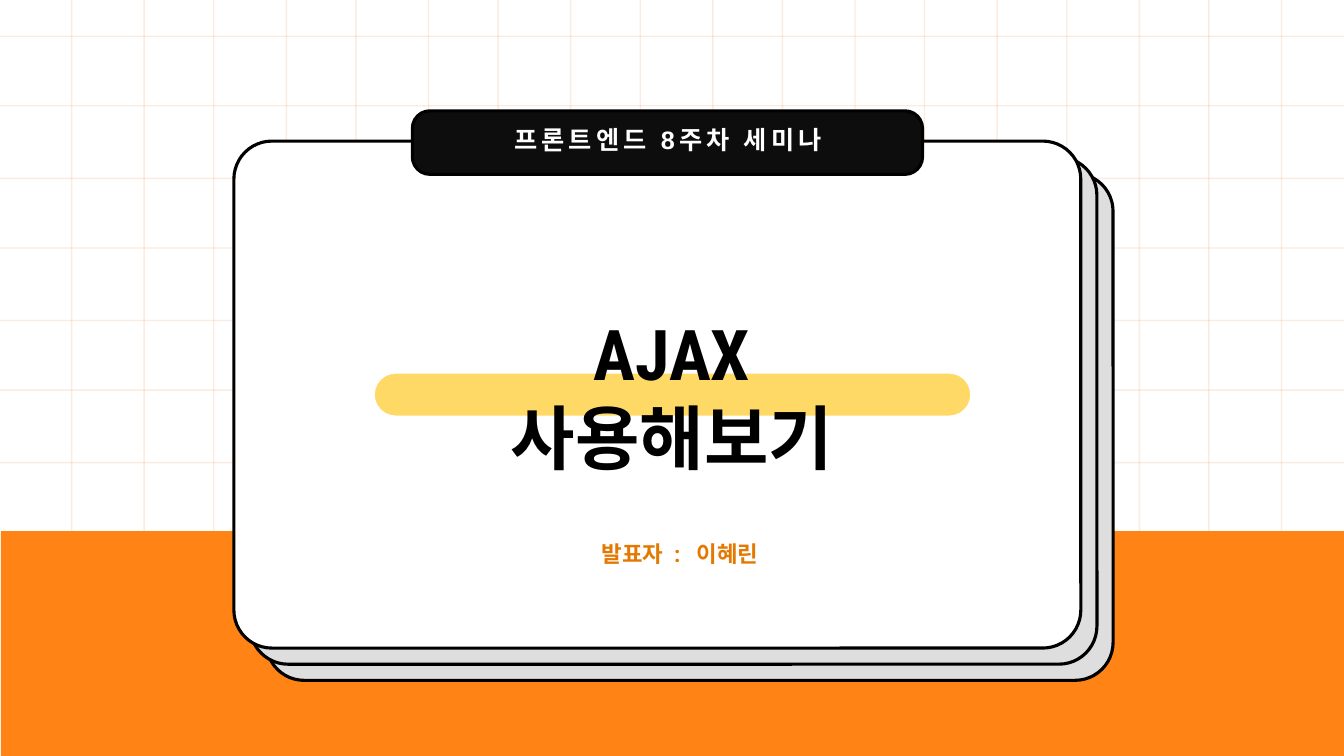
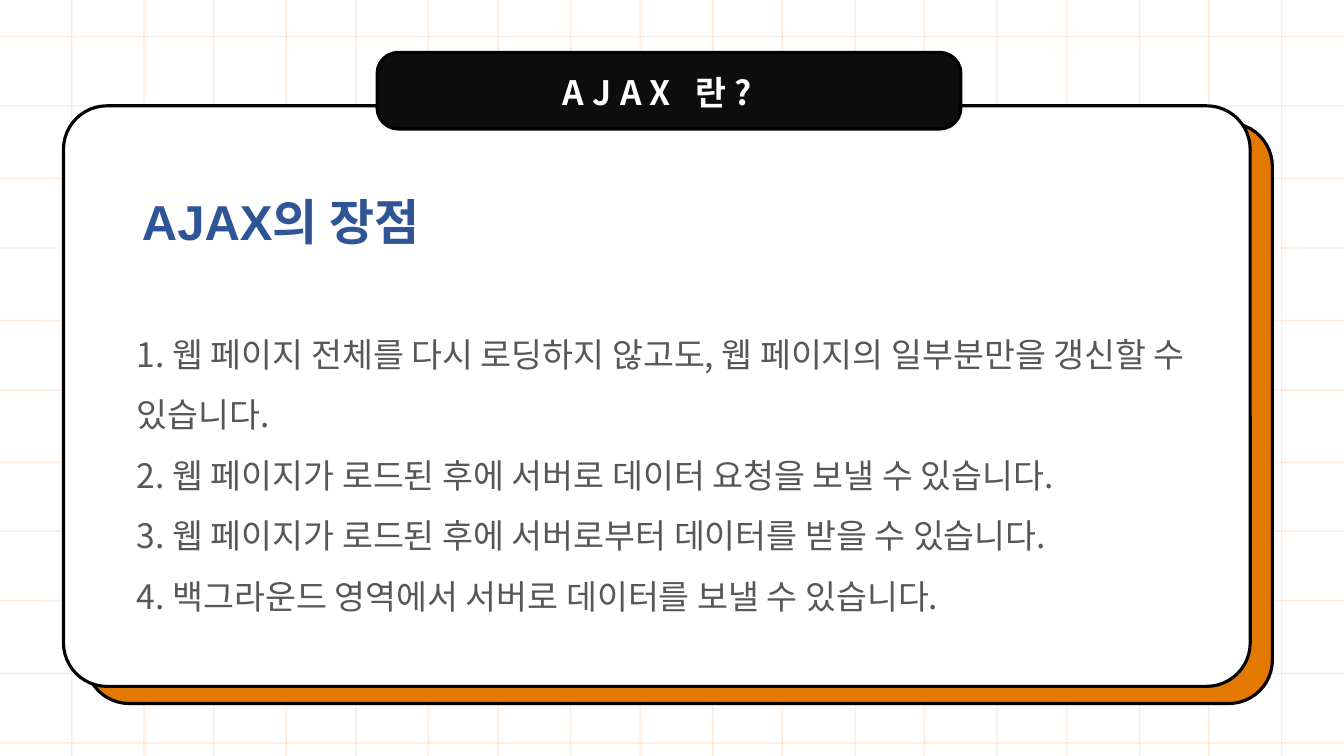
from dataclasses import dataclass
from itertools import accumulate, cycle, islice

from lxml import etree
from pptx import Presentation
from pptx import util as u
from pptx.dml.color import RGBColor
from pptx.enum import shapes, text
from pptx.oxml.ns import qn


@dataclass(frozen=True)
class Theme:
    # Colours
    grid: str = "ED7D31"
    band: str = "FF8415"
    accent: str = "E37900"
    ink: str = "000000"
    tab: str = "0D0D0D"
    paper: str = "FFFFFF"
    under_card: str = "DEDEDE"
    marker: str = "FFD966"
    heading: str = "2F5597"
    body: str = "575757"
    # Fonts
    sans: str = "Arial"
    condensed: str = "Roboto Condensed"
    korean: str = "Noto Sans CJK KR"
    # Type sizes and line widths in points
    cover_size: int = 50
    heading_size: int = 35
    body_size: int = 24
    label_size: int = 18
    small_size: int = 16
    outline: float = 2.25
    hairline: float = 1
    # Corner roundness
    card_corner: float = 0.075
    tab_corner: float = 0.275


THEME = Theme()
WIDTH, HEIGHT = 13.33, 7.5
BAND_TOP = 5.27
LINE_BREAK = ("\n", 0)


def add_block(parent, box, fill, line=None, width=THEME.outline, corner=None):
    """Draw a plain rectangle, or a rounded one when a corner is given."""
    preset = shapes.MSO_SHAPE.RECTANGLE if corner is None else shapes.MSO_SHAPE.ROUNDED_RECTANGLE
    block = parent.add_shape(preset, *map(u.Inches, box))
    block.shadow.inherit = False
    if corner is not None:
        block.adjustments[0] = corner
    block.fill.solid()
    block.fill.fore_color.rgb = RGBColor.from_string(fill)
    if line:
        block.line.color.rgb = RGBColor.from_string(line)
        block.line.width = u.Pt(width)
    else:
        block.line.fill.background()


def add_text(slide, box, paragraphs, *, size, color, font=THEME.korean, bold=False,
             align=text.PP_ALIGN.LEFT, tracking=0, line_spacing=None):
    """Write paragraphs; one given as a list holds (words, tracking) runs."""
    frame = slide.shapes.add_textbox(*map(u.Inches, box)).text_frame
    frame.word_wrap = True
    frame.auto_size = text.MSO_AUTO_SIZE.SHAPE_TO_FIT_TEXT
    for index, content in enumerate(paragraphs):
        paragraph = frame.add_paragraph() if index else frame.paragraphs[0]
        paragraph.alignment = align
        if line_spacing:
            paragraph.line_spacing = line_spacing
        runs = [(content, tracking)] if isinstance(content, str) else content
        for words, spacing in runs:
            if (words, spacing) == LINE_BREAK:
                paragraph.add_line_break()
                continue
            run = paragraph.add_run()
            run.text = words
            run.font.size = u.Pt(size)
            run.font.bold = bold
            run.font.name = font
            run.font.color.rgb = RGBColor.from_string(color)
            # East Asian font and letter spacing
            properties = run.font._element
            latin = properties.find(qn("a:latin"))
            latin.addnext(etree.Element(qn("a:ea"), typeface=THEME.korean))
            if spacing:
                properties.set("spc", str(spacing * 100))


def grid_steps(start, gaps, count):
    """Positions from start, with the gaps taken in turn."""
    return list(accumulate(islice(cycle(gaps), count - 1), initial=start))


def add_grid(slide, lower_rows):
    """Pale squared paper behind the cards."""
    columns = grid_steps(0.71, (0.72, 0.69), 18)
    rows = grid_steps(0.36, (0.69, 0.72), 7)
    if lower_rows:
        rows += grid_steps(BAND_TOP, (0.69, 0.72), 4)
    ends = [(0, y, WIDTH, y) for y in rows] + [(x, 0, x, HEIGHT) for x in columns]
    grid = slide.shapes.add_group_shape()
    for end in ends:
        rule = grid.shapes.add_connector(shapes.MSO_CONNECTOR.STRAIGHT, *map(u.Inches, end))
        rule.line.color.rgb = RGBColor.from_string(THEME.grid)
        rule.line.width = u.Pt(THEME.hairline)
        tint = rule.line._ln.find(".//" + qn("a:srgbClr"))
        etree.SubElement(tint, qn("a:alpha"), val="15000")
        etree.SubElement(rule._element.spPr, qn("a:effectLst"))


def add_card_stack(slide, box, step, under_fills):
    """White card at box, with under cards shifted right and down, furthest first."""
    left, top, width, height = box
    stack = slide.shapes.add_group_shape()
    fills = [*under_fills, THEME.paper]
    for index, fill in enumerate(fills):
        depth = len(fills) - 1 - index
        place = (left + depth * step[0], top + depth * step[1], width, height)
        add_block(stack.shapes, place, fill, THEME.ink, corner=THEME.card_corner)


def add_tab(slide, box, label, label_box, **style):
    """Black tab with a spaced label; label_box is measured from the tab's corner."""
    left, top, _, _ = box
    label_left, label_top, label_width, label_height = label_box
    add_block(slide.shapes, box, THEME.tab, THEME.ink, corner=THEME.tab_corner)
    add_text(slide, (left + label_left, top + label_top, label_width, label_height), [label],
             color=THEME.paper, bold=True, align=text.PP_ALIGN.CENTER, **style)


def build_cover(slide, card):
    left, top, _, _ = card
    centered = dict(font=THEME.condensed, bold=True, align=text.PP_ALIGN.CENTER)
    # Background and cards
    add_grid(slide, lower_rows=False)
    add_block(slide.shapes, (0.01, BAND_TOP, WIDTH, HEIGHT - BAND_TOP), THEME.band)
    add_card_stack(slide, card, (0.16, 0.16), [THEME.under_card] * 2)
    add_tab(slide, (left + 1.77, top - 0.3, 5.06, 0.63), "프론트엔드 8주차 세미나",
            (0.14, 0.08, 4.79, 0.4), size=THEME.label_size, tracking=3, font=THEME.sans)
    # Title over its marker stroke
    add_block(slide.shapes, (left + 1.39, top + 2.3, 5.92, 0.43), THEME.marker,
              THEME.paper, THEME.hairline, corner=0.5)
    add_text(slide, (left + 1.77, top + 1.63, 5.15, 1.77),
             [[("AJAX", 0), LINE_BREAK, ("사용해보기", 0)]],
             size=THEME.cover_size, color=THEME.ink, **centered)
    # Presenter
    add_text(slide, (left + 3.17, top + 3.91, 2.51, 0.37),
             [[("발표자", 0), (" : ", 4), ("이혜린", 0)]],
             size=THEME.small_size, color=THEME.accent, **centered)


def build_content(slide, card, topic, heading, points):
    left, top, width, _ = card
    # Background and cards
    add_grid(slide, lower_rows=True)
    add_card_stack(slide, card, (0.22, 0.17), [THEME.accent])
    add_tab(slide, (left + 3.11, top - 0.53, 5.79, 0.76), topic,
            (0.51, 0.14, 4.54, 0.5), size=THEME.body_size, tracking=6)
    # Heading and numbered points
    add_text(slide, (left + 0.68, top + 0.8, 7.13, 0.69), [heading],
             size=THEME.heading_size, color=THEME.heading, font=THEME.sans, bold=True)
    add_text(slide, (left + 0.63, top + 2.01, width - 1.06, 3.06), points,
             size=THEME.body_size, color=THEME.body, line_spacing=1.5)


def main():
    deck = Presentation()
    deck.slide_width, deck.slide_height = u.Inches(WIDTH), u.Inches(HEIGHT)
    blank = deck.slide_layouts[6]
    build_cover(deck.slides.add_slide(blank), (2.32, 1.4, 8.4, 5.03))
    build_content(
        deck.slides.add_slide(blank), (0.63, 1.05, 11.77, 5.76), "AJAX 란?", "AJAX의 장점",
        ["1. 웹 페이지 전체를 다시 로딩하지 않고도, 웹 페이지의 일부분만을 갱신할 수 있습니다.",
         "2. 웹 페이지가 로드된 후에 서버로 데이터 요청을 보낼 수 있습니다.",
         "3. 웹 페이지가 로드된 후에 서버로부터 데이터를 받을 수 있습니다.",
         "4. 백그라운드 영역에서 서버로 데이터를 보낼 수 있습니다."])
    deck.save("out.pptx")


if __name__ == "__main__":
    main()
